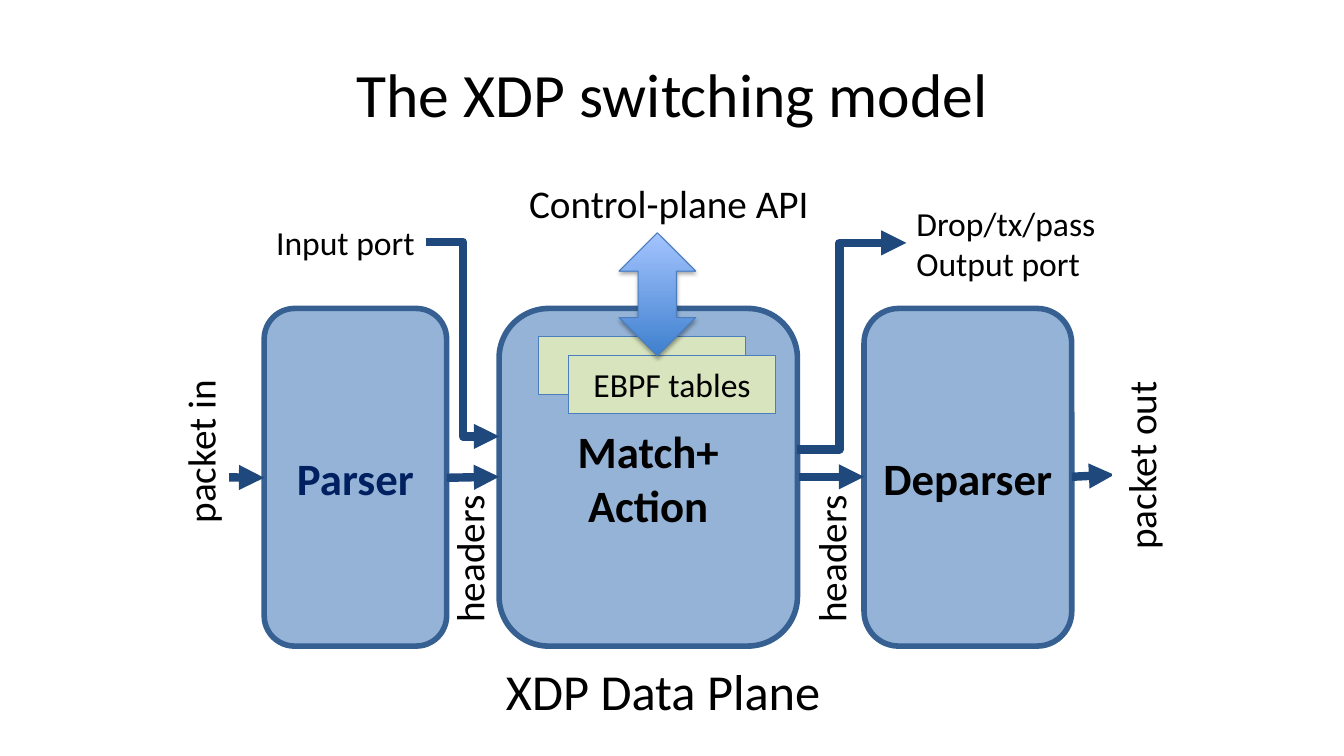
from dataclasses import dataclass
from typing import Optional

from lxml import etree
from pptx import Presentation
from pptx.dml.color import RGBColor
from pptx.enum.shapes import MSO_CONNECTOR, MSO_SHAPE
from pptx.enum.text import MSO_ANCHOR, MSO_AUTO_SIZE, PP_ALIGN
from pptx.oxml import parse_xml
from pptx.oxml.ns import nsdecls, qn
from pptx.util import Inches, Pt

STRAIGHT, ELBOW = MSO_CONNECTOR.STRAIGHT, MSO_CONNECTOR.ELBOW
RECT, ROUNDED = MSO_SHAPE.RECTANGLE, MSO_SHAPE.ROUNDED_RECTANGLE
UP_DOWN = MSO_SHAPE.UP_DOWN_ARROW
LEFT, CENTER = PP_ALIGN.LEFT, PP_ALIGN.CENTER
TOP, MIDDLE = MSO_ANCHOR.TOP, MSO_ANCHOR.MIDDLE
GROW = MSO_AUTO_SIZE.SHAPE_TO_FIT_TEXT

BLACK = RGBColor(0x00, 0x00, 0x00)
WHITE = RGBColor(0xFF, 0xFF, 0xFF)
NAVY = RGBColor(0x00, 0x20, 0x60)
BLUE = RGBColor(0x95, 0xB3, 0xD7)
BORDER = RGBColor(0x37, 0x60, 0x92)
FLOW = RGBColor(0x1F, 0x49, 0x7D)
GREEN = RGBColor(0xD7, 0xE4, 0xBD)
THIN = RGBColor(0x4B, 0x7E, 0xBC)
GRAD_DARK = RGBColor(0x3F, 0x80, 0xCE)
GRAD_LIGHT = RGBColor(0xA4, 0xC4, 0xFF)
FONT = "Calibri"


@dataclass
class Box:
    x: float
    y: float
    w: float
    h: float
    lines: tuple[str, ...] = ()
    size: int = 32
    color: RGBColor = BLACK
    wrap: bool = True


@dataclass
class Label:
    x: float
    y: float
    w: float
    h: float
    lines: tuple[str, ...]
    size: int
    rotation: int = 0
    fill: Optional[RGBColor] = None


@dataclass
class Flow:
    x1: float
    y1: float
    x2: float
    y2: float
    bend: Optional[float] = None


STAGES = [
    Box(2.62, 3.06, 1.81, 3.35, ("Parser",), color=NAVY),
    Box(4.95, 3.06, 2.96, 3.35, ("Match+", "Action")),
    Box(8.57, 3.06, 2.06, 3.35, ("Deparser",), wrap=False),
]
TABLES = [
    Box(5.34, 3.34, 2.05, 0.57),
    Box(5.64, 3.53, 2.05, 0.57, ("EBPF tables",), 24),
]
PACKET_FLOWS = [
    Flow(4.43, 4.74, 4.95, 4.73),
    Flow(7.92, 4.73, 8.57, 4.73),
    Flow(10.63, 4.73, 11.05, 4.71),
    Flow(1.73, 4.73, 2.62, 4.74),
]
PORT_FLOWS = [
    Flow(7.9, 4.46, 8.99, 2.41, 0.39),
    Flow(4.23, 2.4, 4.95, 4.33, 0.5),
]
PACKET_LABELS = [
    Label(1.17, 4.19, 1.63, 0.57, ("packet in",), 28, 270, WHITE),
    Label(10.37, 4.32, 1.89, 0.57, ("packet out",), 28, 270, WHITE),
]
LABELS = [
    Label(4.92, 6.5, 3.35, 0.71, ("XDP Data Plane",), 36),
    Label(5.15, 1.73, 3, 0.57, ("Control-plane API",), 28),
    Label(8.99, 1.96, 1.99, 0.91, ("Drop/tx/pass", "Output port"), 24),
    Label(2.64, 2.15, 1.59, 0.5, ("Input port",), 24),
    Label(3.91, 5.25, 1.48, 0.57, ("headers",), 28, 270),
    Label(7.5, 5.25, 1.48, 0.57, ("headers",), 28, 270),
]


def write(tf, lines: tuple[str, ...], size: int, color: RGBColor = BLACK,
          bold: bool = False, align=CENTER, anchor=MIDDLE, wrap: bool = True) -> None:
    tf.word_wrap = wrap
    tf.vertical_anchor = anchor
    for i, line in enumerate(lines):
        p = tf.paragraphs[0] if i == 0 else tf.add_paragraph()
        p.alignment = align
        r = p.add_run()
        r.text = line
        r.font.name, r.font.size, r.font.bold = FONT, Pt(size), bold
        r.font.color.rgb = color


def add_box(s, box: Box, kind, fill: RGBColor, line: RGBColor, width: float,
            bold: bool = False) -> None:
    sp = s.shapes.add_shape(kind, *map(Inches, (box.x, box.y, box.w, box.h)))
    sp.shadow.inherit = False
    sp.fill.solid()
    sp.fill.fore_color.rgb = fill
    sp.line.color.rgb = line
    sp.line.width = Pt(width)
    write(sp.text_frame, box.lines, box.size, box.color, bold, wrap=box.wrap)


def add_label(s, label: Label) -> None:
    sp = s.shapes.add_textbox(*map(Inches, (label.x, label.y, label.w, label.h)))
    sp.rotation = label.rotation
    if label.fill is not None:
        sp.fill.solid()
        sp.fill.fore_color.rgb = label.fill
    write(sp.text_frame, label.lines, label.size, align=LEFT, anchor=TOP, wrap=False)
    sp.text_frame.auto_size = GROW


def add_flow(s, flow: Flow) -> None:
    kind = STRAIGHT if flow.bend is None else ELBOW
    c = s.shapes.add_connector(kind, *map(Inches, (flow.x1, flow.y1, flow.x2, flow.y2)))
    c.line.color.rgb = FLOW
    c.line.width = Pt(6)
    sp_pr = c.element.find(qn("p:spPr"))
    etree.SubElement(sp_pr.find(qn("a:ln")), qn("a:tailEnd"), type="triangle")
    etree.SubElement(sp_pr, qn("a:effectLst"))
    if flow.bend is not None:
        guides = sp_pr.find(qn("a:prstGeom")).find(qn("a:avLst"))
        etree.SubElement(guides, qn("a:gd"), name="adj1",
                         fmla=f"val {round(flow.bend * 100000)}")


def add_control_arrow(s) -> None:
    sp = s.shapes.add_shape(UP_DOWN, *map(Inches, (6.14, 2.31, 0.76, 1.22)))
    sp.fill.gradient()
    sp.fill.gradient_angle = 90
    for stop, color in zip(sp.fill.gradient_stops, (GRAD_DARK, GRAD_LIGHT)):
        stop.color.rgb = color
    sp.line.color.rgb = THIN
    sp.line.width = Pt(0.75)
    sp.element.find(qn("p:spPr")).append(parse_xml(
        f'<a:effectLst {nsdecls("a")}><a:outerShdw blurRad="{Pt(3.1)}" '
        f'dist="{Pt(1.8)}" dir="5400000" rotWithShape="0"><a:srgbClr val="000000">'
        '<a:alpha val="35000"/></a:srgbClr></a:outerShdw></a:effectLst>'))


def main() -> None:
    prs = Presentation()
    prs.slide_width, prs.slide_height = Inches(13.33), Inches(7.5)
    s = prs.slides.add_slide(prs.slide_layouts[6])

    # Title
    title = s.shapes.add_textbox(*map(Inches, (0.67, 0.3, 12, 1.25)))
    write(title.text_frame, ("The XDP switching model",), 44)

    # Pipeline stages and the packet path
    for stage in STAGES:
        add_box(s, stage, ROUNDED, BLUE, BORDER, 4, bold=True)
    for flow in PACKET_FLOWS:
        add_flow(s, flow)
    for label in PACKET_LABELS:
        add_label(s, label)

    # Tables and control plane
    for table in TABLES:
        add_box(s, table, RECT, GREEN, THIN, 0.75)
    add_control_arrow(s)

    # Ports and captions
    for flow in PORT_FLOWS:
        add_flow(s, flow)
    for label in LABELS:
        add_label(s, label)

    prs.save("out.pptx")


if __name__ == "__main__":
    main()
